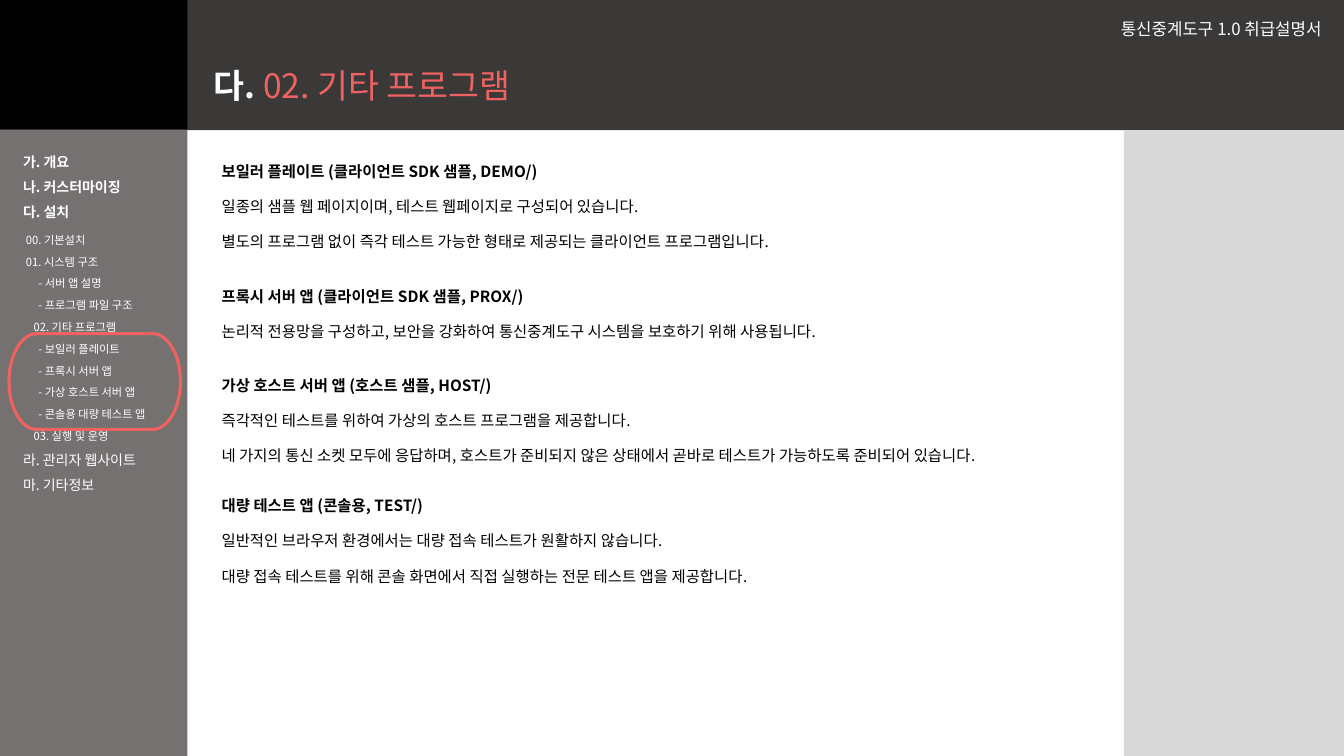
"""Build the manual page on the extra programs."""
from dataclasses import dataclass

from pptx import Presentation
from pptx.dml.color import RGBColor
from pptx.enum.shapes import MSO_SHAPE
from pptx.enum.text import MSO_ANCHOR, MSO_AUTO_SIZE, PP_ALIGN
from pptx.oxml.ns import qn
from pptx.shapes.autoshape import Shape
from pptx.slide import Slide
from pptx.util import Pt

FONT = "Noto Sans CJK KR"
WHITE, BLACK, CORAL = "FFFFFF", "000000", "EF6262"


@dataclass
class Panel:
    """A plain filled block of the page."""
    left: float
    top: float
    width: float
    height: float
    fill: str


@dataclass
class Entry:
    """A line of the side menu."""
    text: str
    size: float = 8
    bold: bool = False
    indent: float = 0
    before: float = 6


@dataclass
class Topic:
    """A heading with its lines of text."""
    top: float
    height: float
    head: str
    lines: list[str]


PANELS = [
    Panel(0, 0, 960, 92.9, "3B3838"),
    Panel(0, 92.9, 133.9, 447.1, "767171"),
    Panel(802.8, 92.9, 157.2, 447.1, "D9D9D9"),
    Panel(0, 0, 133.9, 92.2, BLACK),
]

MENU = [
    Entry("가. 개요", 10, True, before=0),
    Entry("나. 커스터마이징", 10, True),
    Entry("다. 설치", 10, True),
    Entry("00. 기본설치", indent=2, before=9),
    Entry("01. 시스템 구조", indent=2),
    Entry("- 서버 앱 설명", indent=11),
    Entry("- 프로그램 파일 구조", indent=11),
    Entry("02. 기타 프로그램", indent=7.5),
    Entry("- 보일러 플레이트", indent=11),
    Entry("- 프록시 서버 앱", indent=11),
    Entry("- 가상 호스트 서버 앱", indent=11),
    Entry("- 콘솔용 대량 테스트 앱", indent=11),
    Entry("03. 실행 및 운영", indent=7.5),
    Entry("라. 관리자 웹사이트", 10),
    Entry("마. 기타정보", 10),
]

TOPICS = [
    Topic(108, 74, "보일러 플레이트 (클라이언트 SDK 샘플, DEMO/)", [
        "일종의 샘플 웹 페이지이며, 테스트 웹페이지로 구성되어 있습니다.",
        "별도의 프로그램 없이 즉각 테스트 가능한 형태로 제공되는 클라이언트 프로그램입니다.",
    ]),
    Topic(197.5, 74, "프록시 서버 앱 (클라이언트 SDK 샘플, PROX/)", [
        "논리적 전용망을 구성하고, 보안을 강화하여 통신중계도구 시스템을 보호하기 위해 사용됩니다.",
    ]),
    Topic(261.2, 99.4, "가상 호스트 서버 앱 (호스트 샘플, HOST/)", [
        "즉각적인 테스트를 위하여 가상의 호스트 프로그램을 제공합니다.",
        "네 가지의 통신 소켓 모두에 응답하며, 호스트가 준비되지 않은 상태에서 "
        "곧바로 테스트가 가능하도록 준비되어 있습니다.",
    ]),
    Topic(347, 74, "대량 테스트 앱 (콘솔용, TEST/)", [
        "일반적인 브라우저 환경에서는 대량 접속 테스트가 원활하지 않습니다.",
        "대량 접속 테스트를 위해 콘솔 화면에서 직접 실행하는 전문 테스트 앱을 제공합니다.",
    ]),
]


def shade(hue: str) -> RGBColor:
    """Turn a hex string into a colour."""
    return RGBColor.from_string(hue)


def write(para, text: str, *, size: float, hue: str = BLACK, bold: bool = False,
          align=PP_ALIGN.JUSTIFY, line: float = 1, before: float = 0,
          after: float = 0, indent: float = 0) -> None:
    """Add a formatted run to a paragraph and set its layout."""
    para.alignment, para.line_spacing = align, line
    para.space_before, para.space_after = Pt(before), Pt(after)
    if indent:
        props = para._p.get_or_add_pPr()
        props.set("marL", str(Pt(indent)))
        props.set("indent", "0")
    run = para.add_run()
    run.text = text
    font = run.font
    font.name, font.size, font.bold = FONT, Pt(size), bold
    font.color.rgb = shade(hue)
    face = run._r.get_or_add_rPr().makeelement(qn("a:ea"), {"typeface": FONT})
    run._r.rPr.find(qn("a:latin")).addnext(face)


def add_box(page: Slide, left: float, top: float, width: float, height: float,
            anchor=MSO_ANCHOR.TOP) -> Shape:
    """Add a wrapping text box."""
    box = page.shapes.add_textbox(Pt(left), Pt(top), Pt(width), Pt(height))
    box.text_frame.word_wrap = True
    box.text_frame.vertical_anchor = anchor
    return box


def add_para(box: Shape, first: bool):
    """Give the first paragraph of a box or a new one."""
    frame = box.text_frame
    return frame.paragraphs[0] if first else frame.add_paragraph()


def add_panel(page: Slide, panel: Panel) -> None:
    """Draw a filled block."""
    shape = page.shapes.add_shape(MSO_SHAPE.RECTANGLE, Pt(panel.left), Pt(panel.top),
                                  Pt(panel.width), Pt(panel.height))
    shape.shadow.inherit = False
    shape.fill.solid()
    shape.fill.fore_color.rgb = shade(panel.fill)
    shape.line.fill.background()


def add_ring(page: Slide) -> None:
    """Draw the ring round the current menu lines."""
    ring = page.shapes.add_shape(MSO_SHAPE.FLOWCHART_TERMINATOR,
                                 Pt(6.5), Pt(238.3), Pt(122.4), Pt(68.4))
    ring.shadow.inherit = False
    ring.fill.background()
    ring.line.color.rgb = shade(CORAL)
    ring.line.width = Pt(2.25)


def set_title(page: Slide) -> None:
    """Place and fill the title above the header block."""
    title = page.shapes.title
    title.left, title.top, title.width, title.height = Pt(145.4), Pt(38.9), Pt(814.6), Pt(46.8)
    frame = title.text_frame
    frame.word_wrap = True
    frame.auto_size = MSO_AUTO_SIZE.NONE
    frame.vertical_anchor = MSO_ANCHOR.MIDDLE
    style = {"size": 24, "align": PP_ALIGN.LEFT, "line": 0.9}
    write(frame.paragraphs[0], "다. ", hue=WHITE, bold=True, **style)
    write(frame.paragraphs[0], "02. 기타 프로그램", hue=CORAL, **style)
    title.element.getparent().append(title.element)


def add_menu(page: Slide) -> None:
    """Write the side menu."""
    box = add_box(page, 9.4, 105.8, 118.8, 365.8)
    for spot, item in enumerate(MENU):
        write(add_para(box, spot == 0), item.text, size=item.size, hue=WHITE,
              bold=item.bold, indent=item.indent, before=item.before)


def add_topic(page: Slide, topic: Topic) -> None:
    """Write a heading and its lines."""
    box = add_box(page, 151.2, topic.top, 625.7, topic.height)
    for spot, text in enumerate([topic.head, *topic.lines]):
        write(add_para(box, spot == 0), text, size=11, bold=spot == 0, line=1.3, after=8)


def main() -> None:
    """Build and save the deck."""
    deck = Presentation()
    deck.slide_width, deck.slide_height = Pt(960), Pt(540)
    page = deck.slides.add_slide(deck.slide_layouts[5])
    for panel in PANELS:
        add_panel(page, panel)
    set_title(page)
    label = add_box(page, 673.9, 10.1, 277.2, 22.3, MSO_ANCHOR.MIDDLE)
    write(add_para(label, True), "통신중계도구 1.0 취급설명서", size=12, hue=WHITE,
          align=PP_ALIGN.RIGHT, line=0.9)
    add_ring(page)
    add_menu(page)
    for topic in TOPICS:
        add_topic(page, topic)
    deck.save("out.pptx")


if __name__ == "__main__":
    main()
